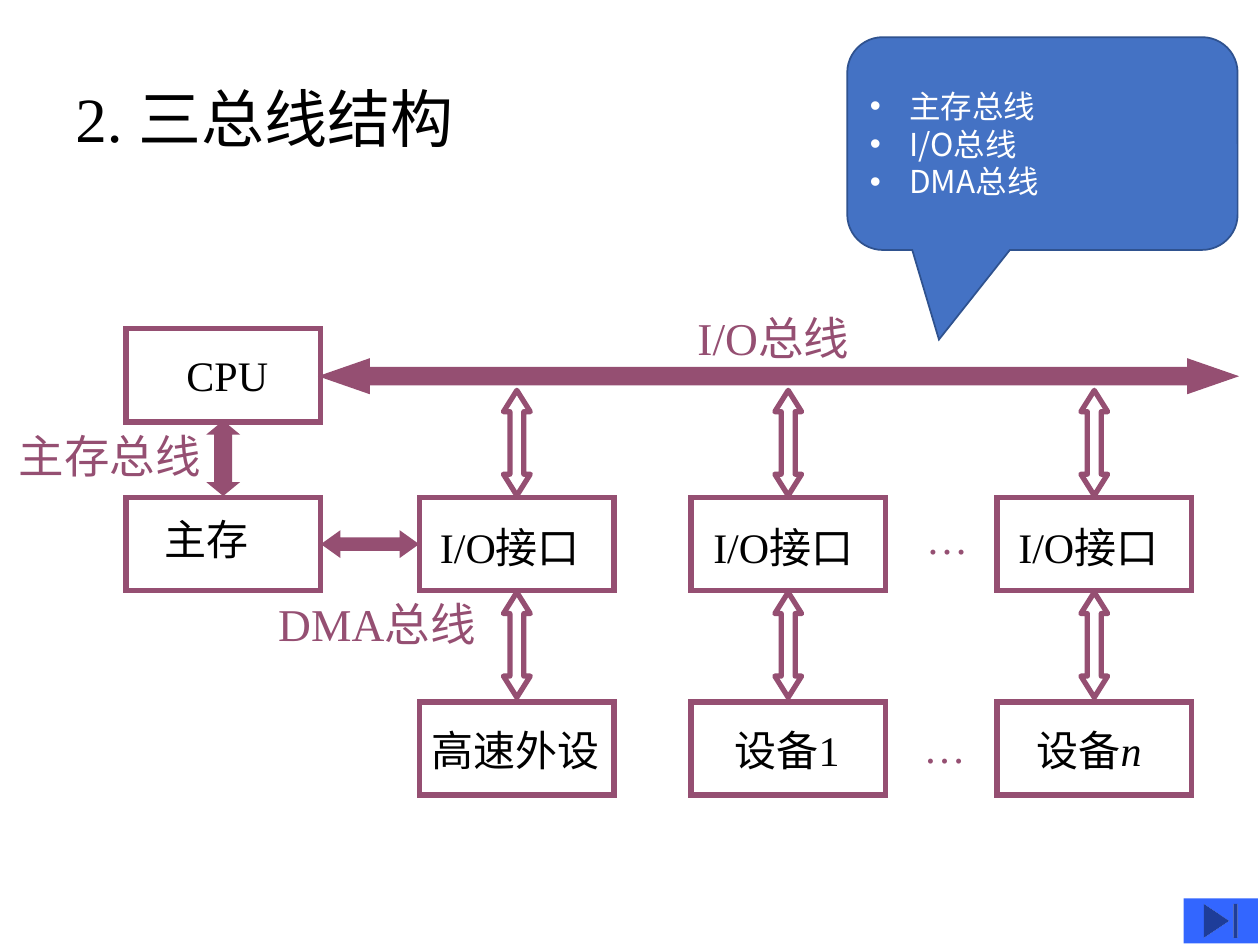
from lxml.etree import SubElement as Sub
from pptx import Presentation
from pptx.dml.color import RGBColor
from pptx.enum.shapes import MSO_SHAPE as Shape
from pptx.enum.text import MSO_ANCHOR as Anchor, PP_ALIGN as Align
from pptx.oxml.ns import qn
from pptx.util import Cm, Pt

PLUM = RGBColor(0x95, 0x4F, 0x72)
BLACK = RGBColor(0, 0, 0)
WHITE = RGBColor(0xFF, 0xFF, 0xFF)
BLUE = RGBColor(0x44, 0x72, 0xC4)
NAVY = RGBColor(0x2F, 0x52, 0x8F)
BUTTON = RGBColor(0x33, 0x66, 0xFF)
SERIF = "Times New Roman"
SANS = "Noto Sans CJK SC"

# Grid, in cm
BOX_W, BOX_H = 3.92, 1.88
CPU_X, COLS = 2.54, (8.46, 13.93, 20.1)
CPU_Y, MID_Y, LOW_Y = 6.63, 10.03, 14.15


def style(par, size, color, latin=SERIF):
    font = par.font
    font.size = Pt(size)
    font.color.rgb = color
    font.name = latin
    Sub(font._element, qn("a:ea")).set("typeface", SANS)


def add_text(slide, words, x, y, w, h, size=24, color=BLACK):
    frame = slide.shapes.add_textbox(Cm(x), Cm(y), Cm(w), Cm(h)).text_frame
    frame.margin_left = frame.margin_right = 0
    frame.margin_top = frame.margin_bottom = 0
    frame.word_wrap = True
    par = frame.paragraphs[0]
    par.text = words
    style(par, size, color)
    return frame


def paint(shape, fill, line, width, join):
    shape.shadow.inherit = False
    if fill:
        shape.fill.solid()
        shape.fill.fore_color.rgb = fill
    else:
        shape.fill.background()
    if line:
        shape.line.color.rgb = line
        shape.line.width = Pt(width)
        Sub(shape.line._get_or_add_ln(), qn(join))
    else:
        shape.line.fill.background()


def add_shape(slide, kind, x, y, w, h, fill=None, line=None, width=3, adj=()):
    shape = slide.shapes.add_shape(kind, Cm(x), Cm(y), Cm(w), Cm(h))
    for i, val in enumerate(adj):
        shape.adjustments[i] = val
    paint(shape, fill, line, width, "a:miter")
    return shape


def add_box(slide, x, y):
    add_shape(slide, Shape.RECTANGLE, x, y, BOX_W, BOX_H, line=PLUM)


def add_arrow(slide, x, y, h, half, shaft, head, fill=None, line=None):
    """Upright two-way arrow centred on the box column at x."""
    mid, end = x + BOX_W / 2, y + h
    right = [(half, y + head), (shaft, y + head),
             (shaft, end - head), (half, end - head)]
    left = [(-dx, py) for dx, py in reversed(right)]
    pts = [(Cm(mid + dx), Cm(py)) for dx, py in right + [(0, end)] + left]
    pen = slide.shapes.build_freeform(Cm(mid), Cm(y))
    pen.add_line_segments(pts, close=True)
    paint(pen.convert_to_shape(), fill, line, 3, "a:round")


def add_callout(slide, lines):
    shape = add_shape(slide, Shape.ROUNDED_RECTANGULAR_CALLOUT,
                      17.08, 0.75, 7.87, 4.29, BLUE, NAVY, 1,
                      (-0.265, 0.921, 0.167))
    frame = shape.text_frame
    frame.vertical_anchor = Anchor.MIDDLE
    frame.text = "\n".join(lines)
    for par in frame.paragraphs:
        par.alignment = Align.LEFT
        props = par._p.get_or_add_pPr()
        props.set("marL", str(Cm(0.79)))
        props.set("indent", str(-Cm(0.79)))
        Sub(props, qn("a:buFont")).set("typeface", "Arial")
        Sub(props, qn("a:buChar")).set("char", "•")
        style(par, 18, WHITE, SANS)


def main():
    deck = Presentation()
    deck.slide_width, deck.slide_height = Cm(25.4), Cm(19.05)
    slide = deck.slides.add_slide(deck.slide_layouts[6])

    # Title
    title = add_text(slide, "2. 三总线结构", 1.52, 1.41, 21.1, 1.91, 36)
    title.vertical_anchor = Anchor.MIDDLE

    # Solid bus arrows
    add_shape(slide, Shape.LEFT_RIGHT_ARROW, 6.45, 7.24, 18.49, 0.69,
              PLUM, PLUM, 0.75, (0.5, 1.44))
    add_arrow(slide, CPU_X, 8.48, 1.52, 0.34, 0.18, 0.28, fill=PLUM)
    add_shape(slide, Shape.LEFT_RIGHT_ARROW, 6.47, 10.69, 1.98, 0.56,
              PLUM, adj=(0.48, 0.7))

    # CPU and memory
    for y in (CPU_Y, MID_Y):
        add_box(slide, CPU_X, y)
    add_text(slide, "CPU", 3.76, 7.04, 2.6, 1.02)
    add_text(slide, "主存", 3.32, 10.36, 2.8, 1.19)

    # Interfaces, each linked to the bus above and a device below
    for x, gap in zip(COLS, (0.41, 0.45, 0.43)):
        for y in (7.87, 11.94):
            add_arrow(slide, x, y, 2.12, 0.27, 0.14, 0.43, line=PLUM)
        for y in (MID_Y, LOW_Y):
            add_box(slide, x, y)
        add_text(slide, "I/O接口", x + gap, 10.52, 3.8, 1.02)

    # Devices
    for words, x in (("高速外设", 8.69), ("设备1", 14.81), ("设备", 20.9)):
        frame = add_text(slide, words, x, 14.6, 4, 1.02)
    last = frame.paragraphs[0].add_run()
    last.text = "n"
    last.font.italic = True

    # Bus names and dots
    for words, x, y, w, size in (
            ("主存总线", 0.38, 8.62, 3.8, 26),
            ("DMA总线", 5.61, 12.01, 4.6, 26),
            ("I/O总线", 14.06, 6.25, 3.8, 26),
            ("…", 18.67, 10.34, 1, 24),
            ("…", 18.62, 14.55, 1, 24)):
        add_text(slide, words, x, y, w, 1.09, size, PLUM)

    # Button and callout
    add_shape(slide, Shape.ACTION_BUTTON_END, 23.86, 18.11, 1.5, 0.91, BUTTON)
    add_callout(slide, ("主存总线", "I/O总线", "DMA总线"))

    deck.save("out.pptx")


if __name__ == "__main__":
    main()
